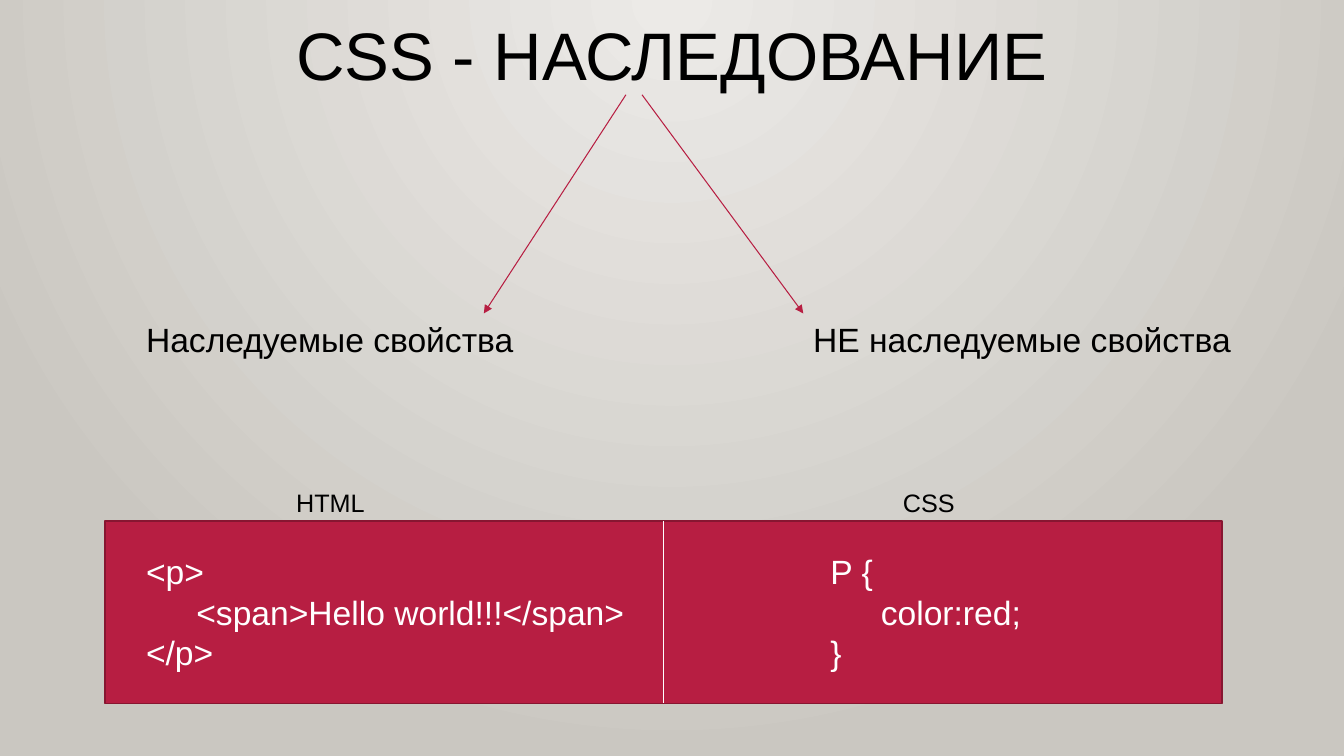
from dataclasses import dataclass

import pptx
import pptx.dml.color
import pptx.enum.dml
import pptx.enum.shapes
import pptx.enum.text
import pptx.oxml
import pptx.oxml.ns
import pptx.util
from pptx.util import Pt

FONT = "Arial"
BLACK, WHITE, CRIMSON, DARK_RED = "000000", "FFFFFF", "B71E42", "871631"
INDENT = 36

# Code panel, shared by the box and its divider
PANEL_LEFT, PANEL_TOP, PANEL_WIDTH, PANEL_HEIGHT = 74.9, 372.2, 797.8, 130.3
PANEL_MIDDLE = PANEL_LEFT + PANEL_WIDTH / 2
PANEL_BOTTOM = PANEL_TOP + PANEL_HEIGHT


@dataclass
class Label:
    lines: list[str]
    left: float
    top: float
    width: float
    height: float
    size: float = 24
    color: str = BLACK
    indented: int | None = None  # index of the indented line


@dataclass
class Line:
    x1: float
    y1: float
    x2: float
    y2: float
    color: str = CRIMSON
    arrow: bool = True


LABELS = [
    Label(["Наследуемые свойства"], 97.2, 223.9, 279.4, 36),
    Label(["НЕ наследуемые свойства"], 573.8, 223.9, 316.1, 36),
    Label(["HTML"], 204.5, 344.2, 64.1, 28.8, size=18),
    Label(["CSS"], 637.9, 344.2, 51.8, 28.8, size=18),
    Label(["<p>", "<span>Hello world!!!</span>", "</p>"],
          97.2, 390.2, 359.3, 94.3, color=WHITE, indented=1),
    Label(["P {", "color:red;", "}"],
          586.1, 390.2, 151.9, 94.3, color=WHITE, indented=1),
]

LINES = [
    Line(447.1, 67.7, 345.6, 223.9),
    Line(458.6, 67.7, 573.8, 223.9),
    Line(PANEL_MIDDLE, PANEL_TOP, PANEL_MIDDLE, PANEL_BOTTOM, WHITE, arrow=False),
]


def rgb(value: str) -> pptx.dml.color.RGBColor:
    return pptx.dml.color.RGBColor.from_string(value)


def set_font(p, size: float, color: str) -> None:
    p.font.name = FONT
    p.font.size = Pt(size)
    p.font.color.rgb = rgb(color)


def set_background(s) -> None:
    fill = s.background.fill
    fill.gradient()
    for stop, color in zip(fill.gradient_stops, ("ECEAE7", "CAC7C1")):
        stop.color.rgb = rgb(color)
    # Swap the linear direction for a circle centred on the top edge
    lin = next(s.element.iter(pptx.oxml.ns.qn("a:lin")))
    circle = pptx.oxml.parse_xml(
        f'<a:path {pptx.oxml.ns.nsdecls("a")} path="circle">'
        '<a:fillToRect l="43000" t="0" r="43000" b="100000"/></a:path>')
    lin.getparent().replace(lin, circle)


def format_title(s) -> None:
    sp = s.shapes.title
    sp.left, sp.top, sp.width, sp.height = Pt(0), Pt(0), Pt(960), Pt(67.7)
    tf = sp.text_frame
    tf.text = "CSS - НАСЛЕДОВАНИЕ"
    tf.word_wrap = True
    tf.auto_size = pptx.enum.text.MSO_AUTO_SIZE.NONE
    tf.vertical_anchor = pptx.enum.text.MSO_ANCHOR.BOTTOM
    tf.margin_bottom = Pt(0)
    p = tf.paragraphs[0]
    p.alignment = pptx.enum.text.PP_ALIGN.CENTER
    p.line_spacing = 0.9
    set_font(p, 48, BLACK)


def add_panel(s) -> None:
    sp = s.shapes.add_shape(
        pptx.enum.shapes.MSO_SHAPE.RECTANGLE,
        Pt(PANEL_LEFT), Pt(PANEL_TOP), Pt(PANEL_WIDTH), Pt(PANEL_HEIGHT))
    sp.shadow.inherit = False
    sp.fill.solid()
    sp.fill.fore_color.rgb = rgb(CRIMSON)
    sp.line.color.rgb = rgb(DARK_RED)
    sp.line.width = Pt(1.25)


def add_label(s, label: Label) -> None:
    sp = s.shapes.add_textbox(
        Pt(label.left), Pt(label.top), Pt(label.width), Pt(label.height))
    tf = sp.text_frame
    tf.word_wrap = False
    tf.auto_size = pptx.enum.text.MSO_AUTO_SIZE.SHAPE_TO_FIT_TEXT
    tf.text = "\n".join(label.lines)
    for i, p in enumerate(tf.paragraphs):
        p.alignment = pptx.enum.text.PP_ALIGN.LEFT
        set_font(p, label.size, label.color)
        if i == label.indented:
            p._p.get_or_add_pPr().set("marL", str(Pt(INDENT)))


def add_line(s, line: Line) -> None:
    cxn = s.shapes.add_connector(
        pptx.enum.shapes.MSO_CONNECTOR.STRAIGHT,
        Pt(line.x1), Pt(line.y1), Pt(line.x2), Pt(line.y2))
    cxn.line.color.rgb = rgb(line.color)
    cxn.line.width = Pt(0.75)
    ns = pptx.oxml.ns.nsdecls("a")
    if line.arrow:
        cxn.line._get_or_add_ln().append(
            pptx.oxml.parse_xml(f'<a:tailEnd {ns} type="triangle"/>'))
    cxn._element.spPr.append(pptx.oxml.parse_xml(f"<a:effectLst {ns}/>"))


def main() -> None:
    prs = pptx.Presentation()
    prs.slide_width, prs.slide_height = Pt(960), Pt(540)
    s = prs.slides.add_slide(prs.slide_layouts[5])

    # Background, heading and code panel
    set_background(s)
    format_title(s)
    add_panel(s)

    # Arrows, divider and text
    for line in LINES:
        add_line(s, line)
    for label in LABELS:
        add_label(s, label)

    prs.save("out.pptx")


if __name__ == "__main__":
    main()
